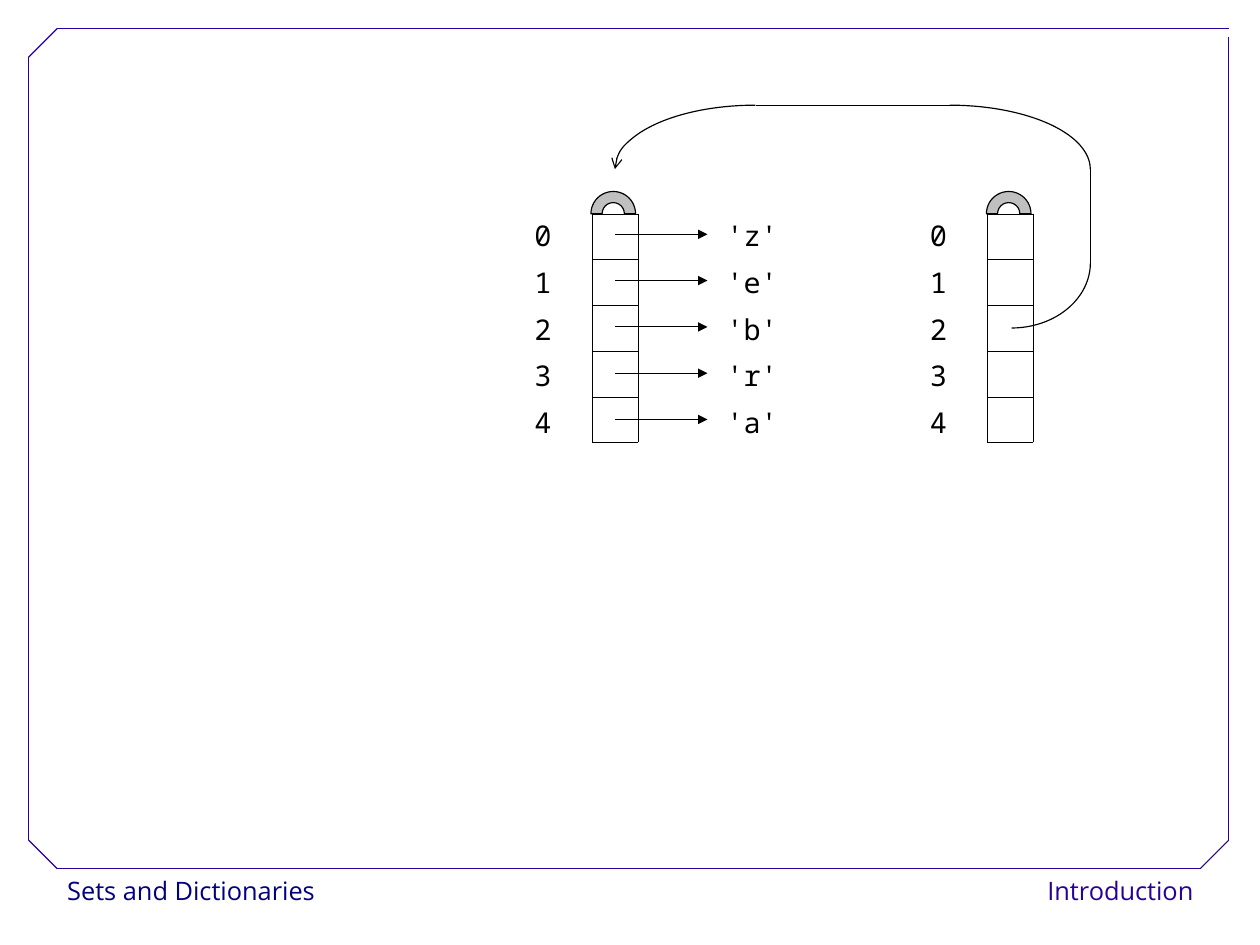
from lxml.etree import SubElement
from pptx import Presentation
from pptx.dml.color import RGBColor
from pptx.enum.shapes import MSO_CONNECTOR as Connector, MSO_SHAPE as Preset
from pptx.enum.text import MSO_ANCHOR as Anchor, PP_ALIGN as Align
from pptx.oxml.ns import qn
from pptx.util import Cm, Inches, Pt

COLORS = {"ink": "000000", "frame": "280099", "footer": "000080",
          "handle": "C0C0C0", "paper": "FFFFFF"}
LETTERS = ["'z'", "'e'", "'b'", "'r'", "'a'"]
FOOTERS = [("Sets and Dictionaries", 0.49, 2.4, "footer", Align.LEFT),
           ("Introduction", 9.04, 1.5, "frame", Align.RIGHT)]

WIDTH_CM, HEIGHT_CM = 28, 21
CELL = 0.4
LABEL_PITCH = 0.41
LABEL_WIDTH, LABEL_HEIGHT = 0.88, 0.5
LIST_TOP = 1.87
LABEL_TOP = 1.8
HANDLE = 0.39
FIRST_LIST, SECOND_LIST = 5.18, 8.64
LETTER_LEFT = 6.14
ARROW_LENGTH = 0.81
FIRST_ARROW, LAST_ARROW = 2.05, 3.67

LEFT, TOP, RIGHT, BOTTOM, CUT = 0.25, 0.25, 10.75, 7.6, 0.25
FRAME = [
    (LEFT + CUT, BOTTOM, RIGHT - CUT, BOTTOM),
    (LEFT, BOTTOM - CUT, LEFT, TOP + CUT),
    (LEFT + CUT, TOP, RIGHT, TOP),
    (RIGHT, BOTTOM - CUT, RIGHT, 0.32),
    (LEFT, TOP + CUT, LEFT + CUT, TOP),
    (RIGHT - CUT, BOTTOM, RIGHT, BOTTOM - CUT),
    (LEFT, BOTTOM - CUT, LEFT + CUT, BOTTOM),
]

LOOP_TOP, LOOP_SHOULDER, LOOP_RIGHT, LOOP_TURN = 0.92, 1.48, 9.54, 2.3
LOOP_ARCS = [
    (6.61, LOOP_SHOULDER, 1.23, 0.56, 180, 270, "arrow"),
    (8.31, LOOP_SHOULDER, 1.23, 0.56, 270, 0, None),
    (8.85, LOOP_TURN, 0.69, 0.57, 0, 90, None),
]
LOOP_LINES = [(8.35, LOOP_TOP, 6.61, LOOP_TOP),
              (LOOP_RIGHT, LOOP_SHOULDER, LOOP_RIGHT, LOOP_TURN)]


def color(name):
    return RGBColor.from_string(COLORS[name])


def style_line(shape, name="ink"):
    shape.line.color.rgb = color(name)
    shape.line.width = Pt(0.75)


def add_head(shape, end, kind):
    SubElement(shape.line._get_or_add_ln(), qn(f"a:{end}"), type=kind)


def add_text(slide, text, left, top, width, height, font="Noto Sans Mono", size=18,
             ink="ink", align=Align.CENTER, anchor=Anchor.MIDDLE, spacing=1.04,
             wrap=True, fill=None):
    box = slide.shapes.add_textbox(*map(Inches, (left, top, width, height)))
    if fill:
        box.fill.solid()
        box.fill.fore_color.rgb = color(fill)
    frame = box.text_frame
    frame.word_wrap = wrap
    frame.vertical_anchor = anchor
    paragraph = frame.paragraphs[0]
    paragraph.alignment = align
    paragraph.line_spacing = spacing
    run = paragraph.add_run()
    run.text = text
    run.font.name, run.font.size = font, Pt(size)
    run.font.color.rgb = color(ink)


def add_line(slide, ends, name="ink", tail=None):
    line = slide.shapes.add_connector(Connector.STRAIGHT, *map(Inches, ends))
    style_line(line, name)
    if tail:
        add_head(line, "tailEnd", tail)
    SubElement(line._element.spPr, qn("a:effectLst"))


def add_arc(slide, center_x, center_y, radius_x, radius_y, start, stop, head):
    bounds = (center_x - radius_x, center_y - radius_y, 2 * radius_x, 2 * radius_y)
    arc = slide.shapes.add_shape(Preset.ARC, *map(Inches, bounds))
    arc.shadow.inherit = False
    arc.fill.background()
    for index, degrees in enumerate((start, stop)):
        arc.adjustments[index] = degrees * 0.6
    style_line(arc)
    if head:
        add_head(arc, "headEnd", head)


def add_borders(cell):
    properties = cell._tc.get_or_add_tcPr()
    for side in ("lnL", "lnR", "lnT", "lnB"):
        border = SubElement(properties, qn(f"a:{side}"), w=str(Pt(0.06)))
        fill = SubElement(border, qn("a:solidFill"))
        SubElement(fill, qn("a:srgbClr"), val=COLORS["ink"])


def add_list(slide, left):
    count = len(LETTERS)
    bounds = (left, LIST_TOP, CELL, CELL * count)
    table = slide.shapes.add_table(count, 1, *map(Inches, bounds)).table
    table.first_row = table.horz_banding = False
    for row in table.rows:
        row.height = Inches(CELL)
        cell = row.cells[0]
        cell.margin_left = cell.margin_right = cell.margin_top = cell.margin_bottom = 0
        add_borders(cell)
        cell.fill.background()
    bounds = (left - 0.01, LIST_TOP - HANDLE / 2, HANDLE, HANDLE)
    handle = slide.shapes.add_shape(Preset.BLOCK_ARC, *map(Inches, bounds))
    handle.shadow.inherit = False
    handle.fill.solid()
    handle.fill.fore_color.rgb = color("handle")
    style_line(handle)
    add_labels(slide, map(str, range(count)), left - 0.87)


def add_labels(slide, labels, left):
    for row, label in enumerate(labels):
        add_text(slide, label, left, LABEL_TOP + row * LABEL_PITCH,
                 LABEL_WIDTH, LABEL_HEIGHT)


def main():
    presentation = Presentation()
    presentation.slide_width, presentation.slide_height = Cm(WIDTH_CM), Cm(HEIGHT_CM)
    slide = presentation.slides.add_slide(presentation.slide_layouts[6])

    for text, left, width, ink, align in FOOTERS:
        add_text(slide, text, left, BOTTOM, width, CELL, font="Open Sans", size=16,
                 ink=ink, align=align, anchor=Anchor.TOP, spacing=1.02,
                 wrap=False, fill="paper")
    for ends in FRAME:
        add_line(slide, ends, "frame")

    for left in (SECOND_LIST, FIRST_LIST):
        add_list(slide, left)
    add_labels(slide, LETTERS, LETTER_LEFT)
    start = FIRST_LIST + CELL / 2
    arrow_pitch = (LAST_ARROW - FIRST_ARROW) / (len(LETTERS) - 1)
    for row in range(len(LETTERS)):
        middle = FIRST_ARROW + row * arrow_pitch
        add_line(slide, (start, middle, start + ARROW_LENGTH, middle), tail="triangle")

    for arc in LOOP_ARCS:
        add_arc(slide, *arc)
    for ends in LOOP_LINES:
        add_line(slide, ends)
    presentation.save("out.pptx")


if __name__ == "__main__":
    main()
